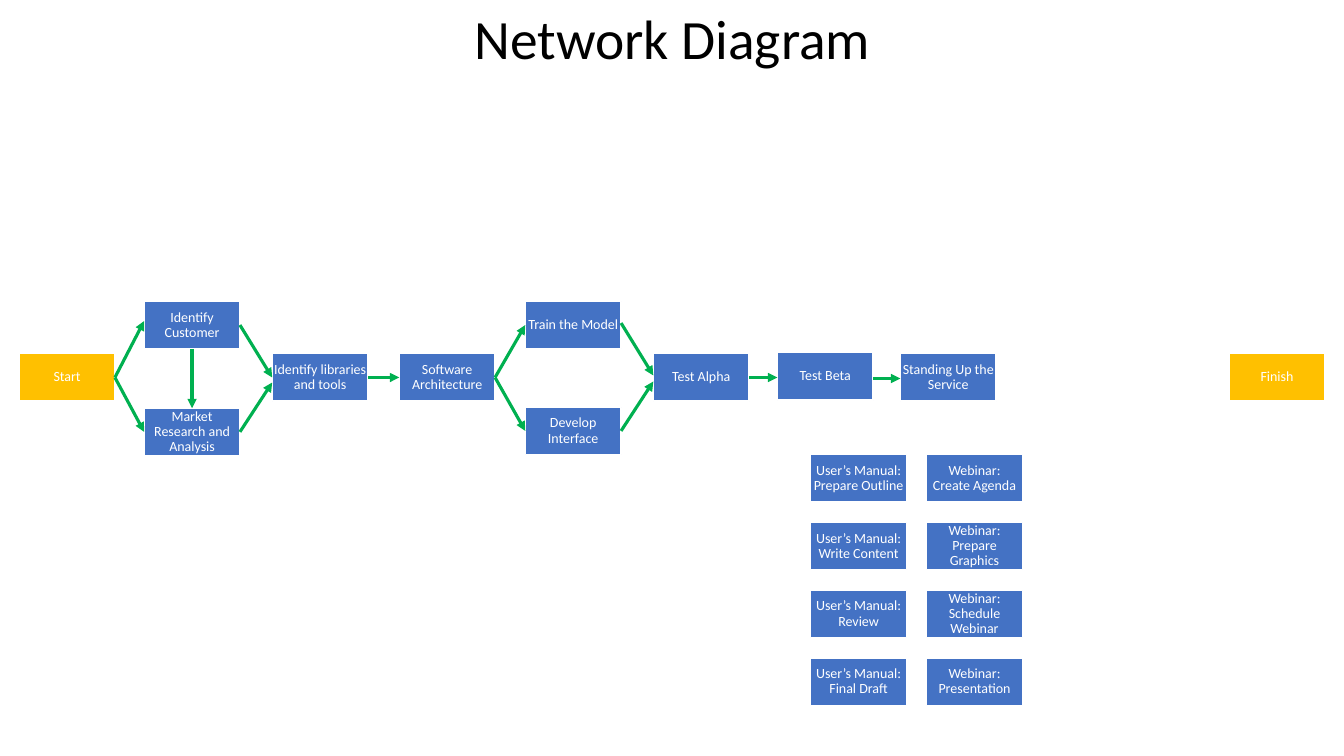
from lxml import etree
from pptx import Presentation
from pptx.dml.color import RGBColor
from pptx.enum import shapes, text
from pptx.oxml import ns
from pptx.util import Inches, Pt

COLORS = {
    "title": "000000",
    "milestone": "FFC000",
    "task": "4472C4",
    "arrow": "00B050",
    "white": "FFFFFF",
}
FONT = "Calibri"
BOX_W, BOX_H = 0.95, 0.47
ROW_PITCH, COLUMN_PITCH = 0.673, 1.15

STEPS = {
    "Start": (0, 0.52),
    "Identify Customer": (1.24, 0),
    "Market Research and Analysis": (1.24, 1.06),
    "Identify libraries and tools": (2.51, 0.52),
    "Software Architecture": (3.77, 0.52),
    "Train the Model": (5.02, 0),
    "Develop Interface": (5.02, 1.05),
    "Test Alpha": (6.29, 0.52),
    "Test Beta": (7.52, 0.51),
    "Standing Up the Service": (8.74, 0.52),
    "Finish": (12, 0.52),
}
MILESTONES = ("Start", "Finish")
LINKS = [
    ("Start", "Identify Customer", 0, -0.04),
    ("Start", "Market Research and Analysis", 0, 0),
    ("Identify Customer", "Identify libraries and tools", 0, 0),
    ("Market Research and Analysis", "Identify libraries and tools", 0, 0.05),
    ("Identify libraries and tools", "Software Architecture", 0, 0),
    ("Software Architecture", "Train the Model", 0, 0),
    ("Software Architecture", "Develop Interface", 0, 0),
    ("Train the Model", "Test Alpha", -0.02, -0.02),
    ("Develop Interface", "Test Alpha", 0, 0.04),
    ("Test Alpha", "Test Beta", 0, 0.01),
    ("Test Beta", "Standing Up the Service", 0.02, 0.01),
]
TRACKS = {
    "User’s Manual:": ["Prepare Outline", "Write Content", "Review", "Final Draft"],
    "Webinar:": ["Create Agenda", "Prepare Graphics", "Schedule Webinar", "Presentation"],
}


def rgb(name):
    return RGBColor.from_string(COLORS[name])


def write_text(tf, words, size, color, space_after=0):
    tf.text = words
    tf.word_wrap = True
    tf.auto_size = text.MSO_AUTO_SIZE.NONE
    tf.vertical_anchor = text.MSO_ANCHOR.MIDDLE
    p = tf.paragraphs[0]
    p.alignment = text.PP_ALIGN.CENTER
    p.line_spacing = 0.9
    p.space_after = Pt(space_after)
    for r in p.runs:
        r.font.name = FONT
        r.font.size = Pt(size)
        r.font.color.rgb = rgb(color)


def add_title(s, left, top, width, height):
    sp = s.shapes.title
    sp.left, sp.top = Inches(left), Inches(top)
    sp.width, sp.height = Inches(width), Inches(height)
    write_text(sp.text_frame, "Network Diagram", size=39.6, color="title")


def add_box(s, words, left, top, fill="task"):
    sp = s.shapes.add_shape(shapes.MSO_SHAPE.RECTANGLE, Inches(left), Inches(top),
                            Inches(BOX_W), Inches(BOX_H))
    sp.shadow.inherit = False
    sp.fill.solid()
    sp.fill.fore_color.rgb = rgb(fill)
    sp.line.color.rgb = rgb("white")
    sp.line.width = Pt(1)
    tf = sp.text_frame
    tf.margin_left = tf.margin_right = tf.margin_top = tf.margin_bottom = Inches(0.01)
    write_text(tf, words, size=10, color="white", space_after=3.5)


def add_arrow(s, x1, y1, x2, y2):
    line = s.shapes.add_connector(shapes.MSO_CONNECTOR.STRAIGHT, Inches(x1), Inches(y1),
                                  Inches(x2), Inches(y2))
    line.line.color.rgb = rgb("arrow")
    line.line.width = Pt(2.25)
    etree.SubElement(line.line._get_or_add_ln(), ns.qn("a:tailEnd"), type="triangle")
    etree.SubElement(line._element.spPr, ns.qn("a:effectLst"))


def add_flow(s, left, top):
    places = {name: (left + dx, top + dy) for name, (dx, dy) in STEPS.items()}
    for name, (x, y) in places.items():
        add_box(s, name, x, y, fill="milestone" if name in MILESTONES else "task")
    for source, target, start_shift, end_shift in LINKS:
        (x1, y1), (x2, y2) = places[source], places[target]
        add_arrow(s, x1 + BOX_W, y1 + BOX_H / 2 + start_shift,
                  x2, y2 + BOX_H / 2 + end_shift)
    x, y = places["Identify Customer"]
    add_arrow(s, x + BOX_W / 2, y + BOX_H,
              x + BOX_W / 2, places["Market Research and Analysis"][1])


def add_tracks(s, left, top):
    for column, (track, tasks) in enumerate(TRACKS.items()):
        for row, task in enumerate(tasks):
            add_box(s, f"{track}\v{task}", left + column * COLUMN_PITCH, top + row * ROW_PITCH)


def main():
    prs = Presentation()
    prs.slide_width, prs.slide_height = Inches(13.33), Inches(7.5)
    s = prs.slides.add_slide(prs.slide_layouts[5])
    add_title(s, 0.92, 0.09, 11.5, 0.65)
    add_flow(s, 0.19, 2.99)
    add_tracks(s, 8.04, 4.51)
    prs.save("out.pptx")


if __name__ == "__main__":
    main()
